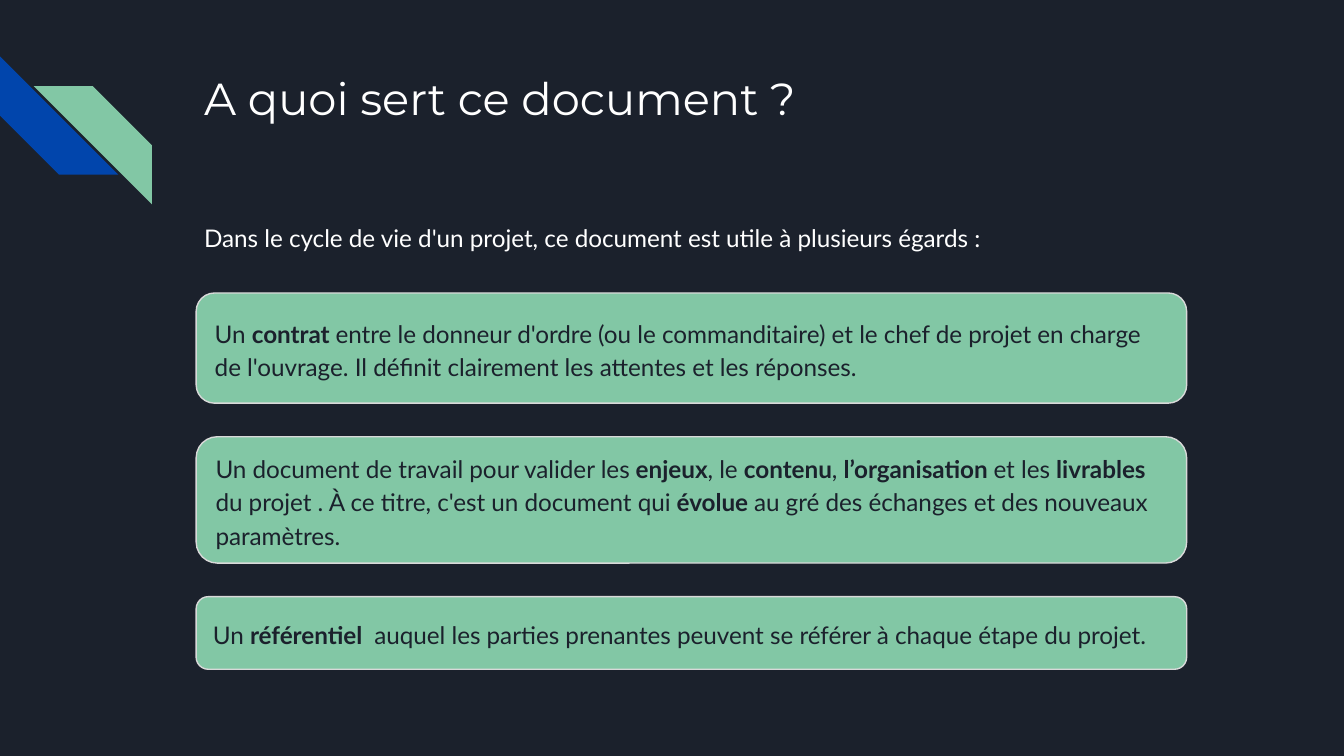
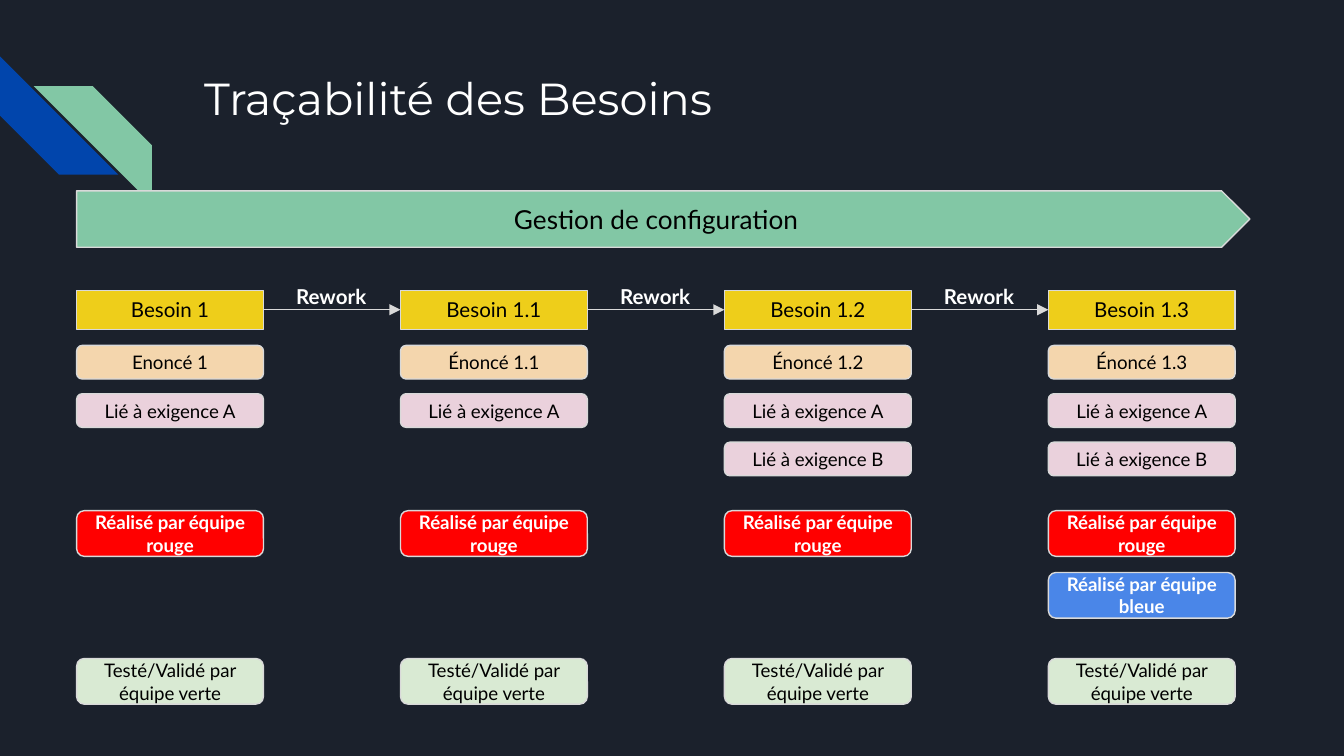
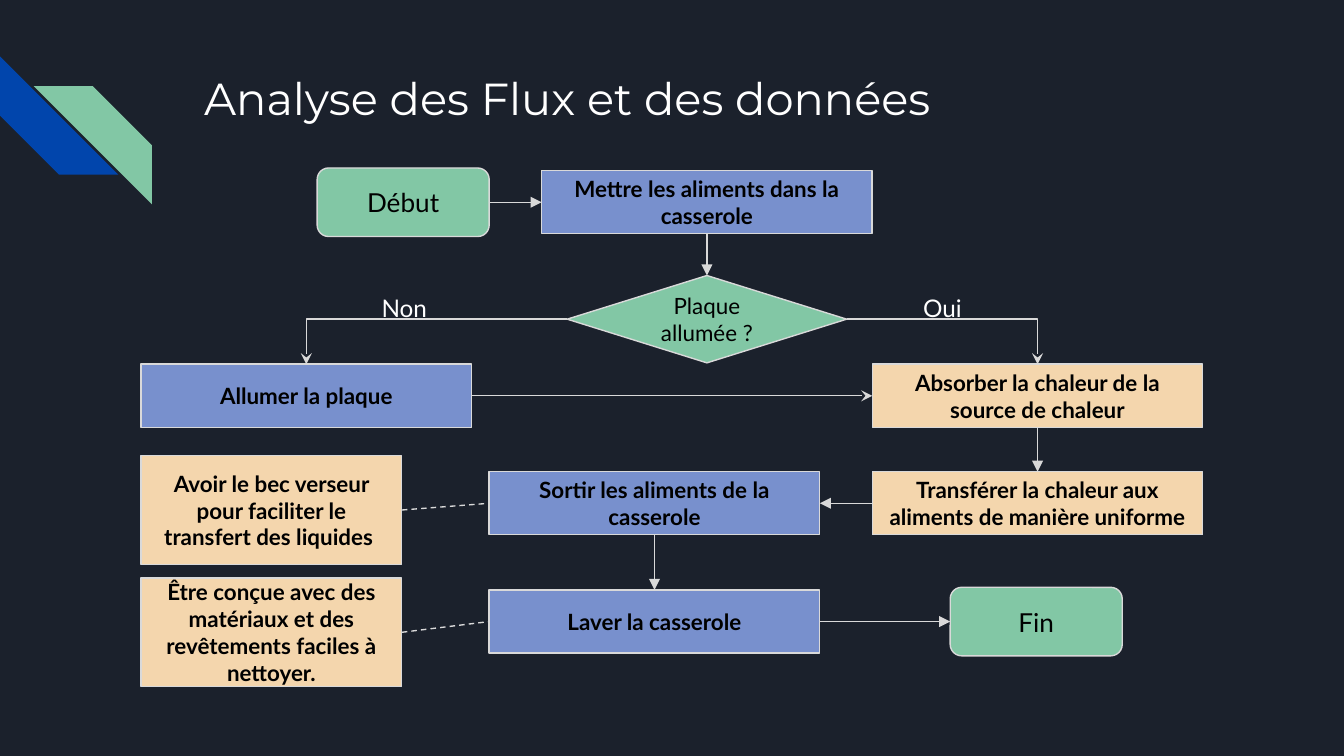
from dataclasses import dataclass

from lxml import etree
from pptx import Presentation
from pptx.dml.color import RGBColor
from pptx.enum import dml, shapes, text
from pptx.oxml import ns
from pptx.shapes.autoshape import Shape
from pptx.slide import Slide
from pptx.util import Inches, Pt

NIGHT = RGBColor(0x1B, 0x21, 0x2C)
WHITE = RGBColor(0xFF, 0xFF, 0xFF)
BLACK = RGBColor(0x00, 0x00, 0x00)
SILVER = RGBColor(0xD9, 0xD9, 0xD9)
ROYAL = RGBColor(0x01, 0x45, 0xAC)
MINT = RGBColor(0x82, 0xC7, 0xA5)
YELLOW = RGBColor(0xEE, 0xCE, 0x1A)
PEACH = RGBColor(0xF4, 0xD6, 0xAD)
PINK = RGBColor(0xEA, 0xD1, 0xDC)
RED = RGBColor(0xFF, 0x00, 0x00)
BLUE = RGBColor(0x4A, 0x86, 0xE8)
PALE_GREEN = RGBColor(0xD9, 0xEA, 0xD3)
PERIWINKLE = RGBColor(0x78, 0x90, 0xCD)

BODY_FONT = "Lato"
TITLE_FONT = "Montserrat"
KIND = shapes.MSO_SHAPE
ALIGN = text.PP_ALIGN
TOP, LEFT, BOTTOM, RIGHT = range(4)


@dataclass(frozen=True)
class Style:
    kind: shapes.MSO_SHAPE
    fill: RGBColor
    size: float
    bold: bool = False
    color: RGBColor = BLACK


@dataclass(frozen=True)
class Box:
    left: float
    top: float
    width: float
    height: float
    words: str
    style: Style


@dataclass(frozen=True)
class Row:
    top: float
    height: float
    style: Style
    words: tuple[str, ...]


@dataclass(frozen=True)
class Link:
    start: str
    start_side: int
    end: str
    end_side: int
    head: str = "triangle"
    bent: bool = False
    dashed: bool = False


CARD = Style(KIND.ROUNDED_RECTANGLE, MINT, 13, color=NIGHT)
BANNER = Style(KIND.PENTAGON, MINT, 14)
NEED = Style(KIND.RECTANGLE, YELLOW, 11)
STATEMENT = Style(KIND.ROUNDED_RECTANGLE, PEACH, 10)
REQUIREMENT = Style(KIND.ROUNDED_RECTANGLE, PINK, 10)
RED_TEAM = Style(KIND.ROUNDED_RECTANGLE, RED, 10, True, WHITE)
BLUE_TEAM = Style(KIND.ROUNDED_RECTANGLE, BLUE, 10, True, WHITE)
GREEN_TEAM = Style(KIND.ROUNDED_RECTANGLE, PALE_GREEN, 10)
TERMINAL = Style(KIND.ROUNDED_RECTANGLE, MINT, 14)
DECISION = Style(KIND.FLOWCHART_DECISION, MINT, 12)
ACTION = Style(KIND.RECTANGLE, PERIWINKLE, 12, True)
FUNCTION = Style(KIND.RECTANGLE, PEACH, 12, True)


def write(shape: Shape, words: str, *, size: float, color: RGBColor = WHITE,
          font: str = BODY_FONT, bold: bool = False, align: ALIGN = ALIGN.LEFT,
          anchor: text.MSO_ANCHOR = text.MSO_ANCHOR.TOP,
          spacing: float = 1.0, after: float = 0) -> None:
    frame = shape.text_frame
    frame.word_wrap = True
    frame.vertical_anchor = anchor
    frame.margin_left = frame.margin_right = Inches(0.1)
    frame.margin_top = frame.margin_bottom = Inches(0.1)
    paragraph = frame.paragraphs[0]
    paragraph.alignment = align
    paragraph.line_spacing = spacing
    paragraph.space_after = Pt(after)
    for index, part in enumerate(words.split("**")):
        run = paragraph.add_run()
        run.text = part
        run.font.name = font
        run.font.size = Pt(size)
        run.font.color.rgb = color
        run.font.bold = bold or index % 2 == 1


def add_label(slide: Slide, left: float, top: float, width: float, height: float,
              words: str, **formatting) -> None:
    label = slide.shapes.add_textbox(Inches(left), Inches(top), Inches(width), Inches(height))
    write(label, words, **formatting)


def add_box(slide: Slide, box: Box, align: ALIGN = ALIGN.CENTER, **formatting) -> Shape:
    style = box.style
    shape = slide.shapes.add_shape(style.kind, Inches(box.left), Inches(box.top),
                                   Inches(box.width), Inches(box.height))
    shape.shadow.inherit = False
    shape.fill.solid()
    shape.fill.fore_color.rgb = style.fill
    shape.line.color.rgb = SILVER
    shape.line.width = Pt(0.75)
    write(shape, box.words, size=style.size, color=style.color, bold=style.bold,
          align=align, anchor=text.MSO_ANCHOR.MIDDLE, **formatting)
    return shape


def add_link(slide: Slide, boxes: dict[str, Shape], link: Link) -> None:
    route = shapes.MSO_CONNECTOR.ELBOW if link.bent else shapes.MSO_CONNECTOR.STRAIGHT
    connector = slide.shapes.add_connector(route, 0, 0, 0, 0)
    connector.begin_connect(boxes[link.start], link.start_side)
    connector.end_connect(boxes[link.end], link.end_side)
    connector.line.color.rgb = SILVER
    connector.line.width = Pt(0.75)
    properties = connector._element.spPr
    if link.bent:
        properties.find(ns.qn("a:prstGeom")).set("prst", "bentConnector2")
    if link.dashed:
        connector.line.dash_style = dml.MSO_LINE.DASH
    else:
        outline = properties.find(ns.qn("a:ln"))
        etree.SubElement(outline, ns.qn("a:tailEnd"), type=link.head)
    etree.SubElement(properties, ns.qn("a:effectLst"))


def add_stripe(slide: Slide, left: float, top: float, fill: RGBColor) -> Shape:
    side = Inches(0.88)
    stripe = slide.shapes.add_shape(KIND.DIAGONAL_STRIPE, Inches(left), Inches(top), side, side)
    stripe.shadow.inherit = False
    stripe.fill.solid()
    stripe.fill.fore_color.rgb = fill
    stripe.line.fill.background()
    return stripe


def add_slide(deck: Presentation, title: str) -> Slide:
    slide = deck.slides.add_slide(deck.slide_layouts[6])
    slide.background.fill.solid()
    slide.background.fill.fore_color.rgb = NIGHT
    add_stripe(slide, 0, 0.42, ROYAL).rotation = 270
    mint_stripe = add_stripe(slide, 0.25, 0.64, MINT)
    mint_stripe._element.spPr.find(ns.qn("a:xfrm")).set("flipH", "1")
    add_label(slide, 1.42, 0.43, 7.7, 1, title, size=24, font=TITLE_FONT)
    return slide


def build_purpose(deck: Presentation) -> None:
    slide = add_slide(deck, "A quoi sert ce document ?")
    add_label(slide, 1.42, 1.53, 7.7, 0.54,
              "Dans le cycle de vie d'un projet, ce document est utile à plusieurs égards :",
              size=13, spacing=1.15, after=12)
    uses = (
        (0.82, "Un **contrat **entre le donneur d'ordre (ou le commanditaire) et le chef de "
               "projet en charge de l'ouvrage. Il définit clairement les attentes et les réponses."),
        (0.94, "Un document de travail pour valider les **enjeux**, le **contenu**, "
               "**l’organisation **et les **livrables **du projet . À ce titre, c'est un document "
               "qui **évolue **au gré des échanges et des nouveaux paramètres."),
        (0.54, "Un **référentiel ** auquel les parties prenantes peuvent se référer à chaque "
               "étape du projet."),
    )
    top = 2.18
    for height, words in uses:
        add_box(slide, Box(1.46, top, 7.37, height, words, CARD),
                align=ALIGN.LEFT, spacing=1.15, after=12)
        top += height + 0.25


def build_traceability(deck: Presentation) -> None:
    slide = add_slide(deck, "Traçabilité des Besoins")
    first_left, step, width = 0.57, 2.41, 1.39
    rows = (
        Row(2.16, 0.29, NEED, ("Besoin 1", "Besoin 1.1", "Besoin 1.2", "Besoin 1.3")),
        Row(2.57, 0.25, STATEMENT, ("Enoncé 1", "Énoncé 1.1", "Énoncé 1.2", "Énoncé 1.3")),
        Row(2.93, 0.25, REQUIREMENT, ("Lié à exigence A",) * 4),
        Row(3.29, 0.25, REQUIREMENT, ("", "") + ("Lié à exigence B",) * 2),
        Row(3.8, 0.34, RED_TEAM, ("Réalisé par équipe rouge",) * 4),
        Row(4.26, 0.34, BLUE_TEAM, ("", "", "", "Réalisé par équipe bleue")),
        Row(4.9, 0.34, GREEN_TEAM, ("Testé/Validé par équipe verte",) * 4),
    )
    boxes = {}
    for row in rows:
        for column, words in enumerate(row.words):
            if words:
                left = first_left + column * step
                boxes[words] = add_box(
                    slide, Box(left, row.top, width, row.height, words, row.style))
    needs = rows[0].words
    for column, (before, after) in enumerate(zip(needs, needs[1:])):
        add_link(slide, boxes, Link(before, RIGHT, after, LEFT))
        add_label(slide, 2.01 + column * step, 2.02, 0.91, 0.29, "Rework",
                  size=11, bold=True, align=ALIGN.CENTER)
    add_box(slide, Box(first_left, 1.42, 8.73, 0.42, "Gestion de configuration", BANNER))


def build_flow(deck: Presentation) -> None:
    slide = add_slide(deck, "Analyse des Flux et des données")
    step_size = (2.46, 0.47)
    terminal_size = (1.28, 0.51)
    note_size = (1.94, 0.81)
    left_edge, middle, right_edge = 1.05, 3.64, 6.49
    steps = {
        "fill": Box(4.03, 1.27, *step_size, "Mettre les aliments dans la casserole", ACTION),
        "start": Box(2.36, 1.25, *terminal_size, "Début", TERMINAL),
        "lit": Box(4.22, 2.05, 2.08, 0.65, "Plaque allumée ?", DECISION),
        "absorb": Box(right_edge, 2.71, *step_size,
                      "Absorber la chaleur de la source de chaleur", FUNCTION),
        "transfer": Box(right_edge, 3.51, *step_size,
                        "Transférer la chaleur aux aliments de manière uniforme", FUNCTION),
        "light": Box(left_edge, 2.71, *step_size, "Allumer la plaque", ACTION),
        "remove": Box(middle, 3.51, *step_size, "Sortir les aliments de la casserole", ACTION),
        "wash": Box(middle, 4.39, *step_size, "Laver la casserole", ACTION),
        "spout": Box(left_edge, 3.39, *note_size,
                     "Avoir le bec verseur pour faciliter le transfert des liquides ", FUNCTION),
        "coating": Box(left_edge, 4.3, *note_size,
                       "Être conçue avec des matériaux et des revêtements faciles à nettoyer.",
                       FUNCTION),
        "end": Box(7.07, 4.37, *terminal_size, "Fin", TERMINAL),
    }
    boxes = {key: add_box(slide, box) for key, box in steps.items()}
    links = (
        Link("start", RIGHT, "fill", LEFT),
        Link("fill", BOTTOM, "lit", TOP),
        Link("lit", LEFT, "light", TOP, head="stealth", bent=True),
        Link("lit", RIGHT, "absorb", TOP, head="stealth", bent=True),
        Link("light", RIGHT, "absorb", LEFT, head="stealth"),
        Link("absorb", BOTTOM, "transfer", TOP),
        Link("transfer", LEFT, "remove", RIGHT),
        Link("remove", BOTTOM, "wash", TOP),
        Link("wash", RIGHT, "end", LEFT),
        Link("spout", RIGHT, "remove", LEFT, dashed=True),
        Link("coating", RIGHT, "wash", LEFT, dashed=True),
    )
    for link in links:
        add_link(slide, boxes, link)
    for left, answer in ((2.74, "Non"), (6.77, "Oui")):
        add_label(slide, left, 2.08, 0.72, 0.22, answer, size=13)


def main() -> None:
    deck = Presentation()
    deck.slide_width = Inches(10)
    deck.slide_height = deck.slide_width * 9 // 16
    build_purpose(deck)
    build_traceability(deck)
    build_flow(deck)
    deck.save("out.pptx")


if __name__ == "__main__":
    main()
